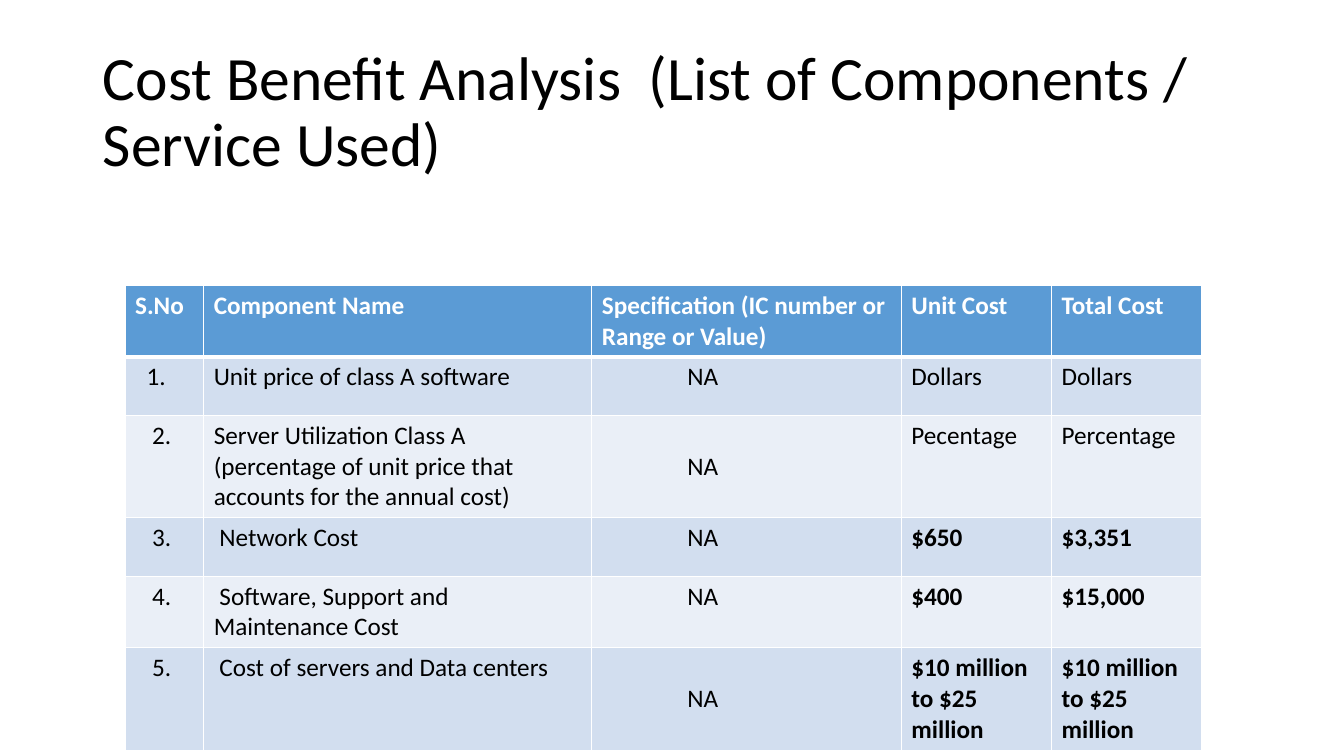
from dataclasses import dataclass

from lxml.etree import SubElement
from pptx import Presentation
from pptx.dml.color import RGBColor
from pptx.enum.text import MSO_ANCHOR as Anchor, MSO_AUTO_SIZE as AutoSize, PP_ALIGN as Align
from pptx.oxml.ns import qn
from pptx.util import Inches, Pt


@dataclass(frozen=True)
class Theme:
    font: str = "Calibri"
    title_size: int = 44
    cell_size: int = 18
    ink: str = "000000"
    white: str = "FFFFFF"
    header: str = "5B9BD5"
    bands: tuple = ("D2DEEF", "EAEFF7")
    rule: int = 1
    header_rule: int = 3


THEME = Theme()
COLUMN_WIDTHS = (0.78, 3.85, 3.07, 1.49, 1.49)
HEADER_HEIGHT, ROW_HEIGHT = 0.48, 0.58
SPACE = 0.0565
SPEC_COLUMN = 2
HEADINGS = ("S.No", "Component Name", "Specification (IC number or Range or Value)",
            "Unit Cost", "Total Cost")
COMPONENTS = (
    ("1.", "Unit price of class A software", "NA", "Dollars", "Dollars"),
    ("2.", "Server Utilization Class A (percentage of unit price that accounts for the annual cost)",
     "NA", "Pecentage", "Percentage"),
    ("3.", "Network Cost", "NA", "$650", "$3,351"),
    ("4.", "Software, Support and Maintenance Cost", "NA", "$400", "$15,000"),
    ("5.", "Cost of servers and Data centers", "NA",
     "$10 million to $25 million", "$10 million to $25 million"),
)
NUMBER_INDENTS = (2, 3, 3, 3, 3)
NAME_INDENTS = (0, 0, 1, 1, 1)
SPEC_INDENT = 15
CENTRED_SPECS = (2, 5)


def style_font(font, size, color, bold=False):
    font.name = THEME.font
    font.size = Pt(size)
    font.bold = bold
    font.color.rgb = RGBColor.from_string(color)


def add_title(page, text):
    title = page.shapes.title
    title.left, title.top = Inches(0.92), Inches(0.4)
    title.width, title.height = Inches(11.5), Inches(1.45)
    frame = title.text_frame
    frame.text = text
    frame.word_wrap = True
    frame.auto_size = AutoSize.NONE
    frame.vertical_anchor = Anchor.MIDDLE
    para = frame.paragraphs[0]
    para.alignment = Align.LEFT
    para.line_spacing = 0.9
    style_font(para.runs[0].font, THEME.title_size, THEME.ink)


def set_borders(cell, top, bottom):
    properties = cell._tc.get_or_add_tcPr()
    widths = {"a:lnL": THEME.rule, "a:lnR": THEME.rule, "a:lnT": top, "a:lnB": bottom}
    for side, width in widths.items():
        line = SubElement(properties, qn(side), w=str(Pt(width)))
        fill = SubElement(line, qn("a:solidFill"))
        SubElement(fill, qn("a:srgbClr"), val=THEME.white)


def fill_cell(cell, text, fill, color, bold=False, indent=0):
    cell.text_frame.text = text
    para = cell.text_frame.paragraphs[0]
    if indent:
        para._p.get_or_add_pPr().set("indent", str(Inches(indent * SPACE)))
    style_font(para.runs[0].font, THEME.cell_size, color, bold)
    cell.fill.solid()
    cell.fill.fore_color.rgb = RGBColor.from_string(fill)


def add_cost_table(page):
    height = HEADER_HEIGHT + ROW_HEIGHT * len(COMPONENTS)
    table = page.shapes.add_table(
        len(COMPONENTS) + 1, len(HEADINGS), Inches(1.24), Inches(2.83),
        Inches(sum(COLUMN_WIDTHS)), Inches(height)).table
    for column, width in zip(table.columns, COLUMN_WIDTHS):
        column.width = Inches(width)
    for index, row in enumerate(table.rows):
        row.height = Inches(ROW_HEIGHT if index else HEADER_HEIGHT)

    for column, heading in enumerate(HEADINGS):
        cell = table.cell(0, column)
        set_borders(cell, THEME.rule, THEME.header_rule)
        fill_cell(cell, heading, THEME.header, THEME.white, bold=True)

    for row, values in enumerate(COMPONENTS, start=1):
        indents = (NUMBER_INDENTS[row - 1], NAME_INDENTS[row - 1], SPEC_INDENT, 0, 0)
        for column, (value, indent) in enumerate(zip(values, indents)):
            cell = table.cell(row, column)
            set_borders(cell, THEME.header_rule if row == 1 else THEME.rule, THEME.rule)
            fill_cell(cell, value, THEME.bands[(row - 1) % 2], THEME.ink,
                      bold=value.startswith("$"), indent=indent)
    for row in CENTRED_SPECS:
        table.cell(row, SPEC_COLUMN).vertical_anchor = Anchor.MIDDLE


def main():
    deck = Presentation()
    deck.slide_width, deck.slide_height = Inches(13.33), Inches(7.5)
    page = deck.slides.add_slide(deck.slide_layouts.get_by_name("Title Only"))
    add_title(page, "Cost Benefit Analysis  (List of Components / Service Used)")
    add_cost_table(page)
    deck.save("out.pptx")


if __name__ == "__main__":
    main()
